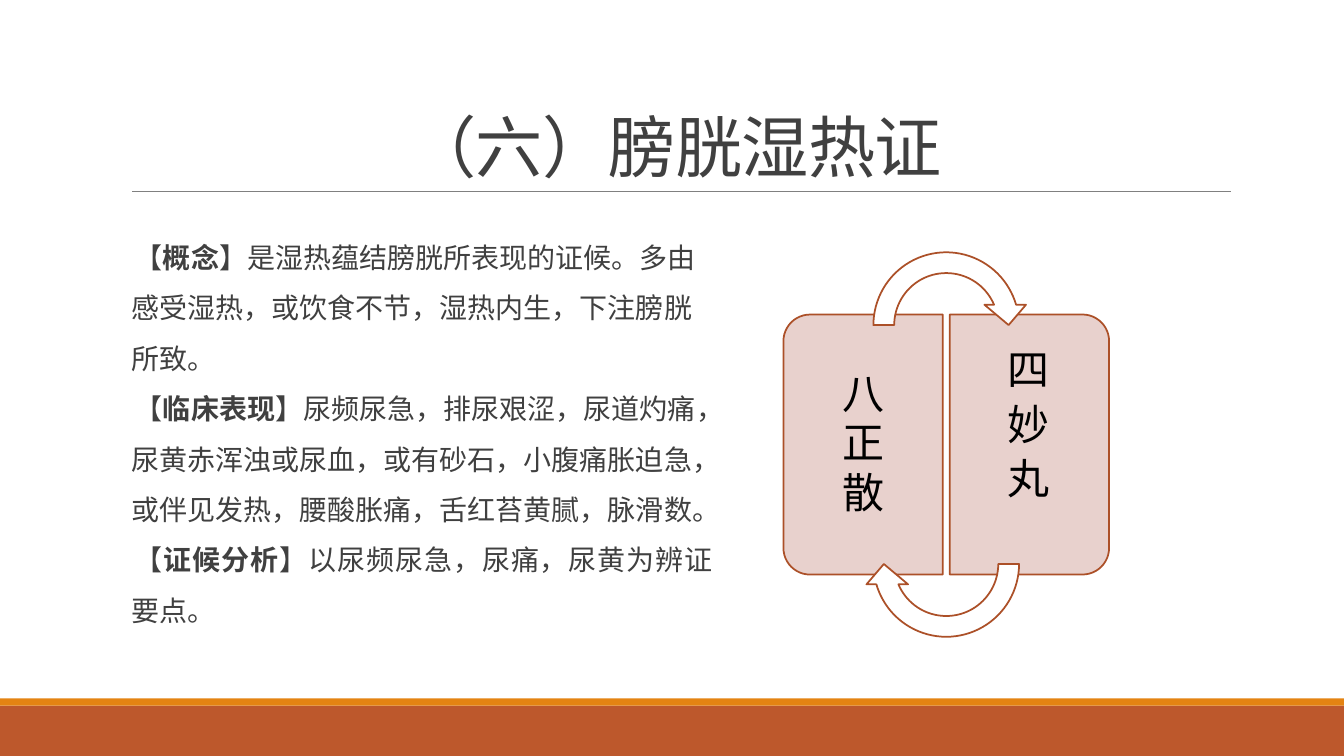
from lxml import etree
from pptx import Presentation
from pptx.dml.color import RGBColor
from pptx.enum.shapes import MSO_CONNECTOR, MSO_SHAPE
from pptx.enum.text import MSO_ANCHOR, PP_ALIGN
from pptx.oxml.ns import qn
from pptx.util import Inches, Pt

RECTANGLE = MSO_SHAPE.RECTANGLE
ROUNDED_TOP = MSO_SHAPE.ROUND_2_SAME_RECTANGLE
CIRCULAR_ARROW = MSO_SHAPE.CIRCULAR_ARROW
STRAIGHT = MSO_CONNECTOR.STRAIGHT
TOP, MIDDLE, BOTTOM = MSO_ANCHOR.TOP, MSO_ANCHOR.MIDDLE, MSO_ANCHOR.BOTTOM
LEFT, CENTER, JUSTIFY = PP_ALIGN.LEFT, PP_ALIGN.CENTER, PP_ALIGN.JUSTIFY

CJK_FONT = "Noto Sans CJK SC"
RUST, ORANGE, OUTLINE = "BD582C", "E48312", "AC5028"
INK, GREY, PINK, WHITE, BLACK = "404040", "808080", "E8D1CD", "FFFFFF", "000000"
ARROW_ADJUSTMENTS = (0.125, 11.423, 204.577, 108, 0.125)

SECTIONS = [
    ("概念", "是湿热蕴结膀胱所表现的证候。多由感受湿热，或饮食不节，湿热内生，下注膀胱所致。", LEFT),
    ("临床表现", "尿频尿急，排尿艰涩，尿道灼痛，尿黄赤浑浊或尿血，或有砂石，小腹痛胀迫急，"
     "或伴见发热，腰酸胀痛，舌红苔黄腻，脉滑数。", LEFT),
    ("证候分析", "以尿频尿急，尿痛，尿黄为辨证要点。", JUSTIFY),
]


def color(value):
    return RGBColor.from_string(value)


def apply(target, values):
    for name, value in values.items():
        setattr(target, name, value)


class SlideBuilder:
    """Draws styled elements on the current slide."""

    def __init__(self, slide):
        self.slide = slide

    def shape(self, kind, box, fill, line=None, rotation=0, adjustments=()):
        shape = self.slide.shapes.add_shape(kind, *map(Inches, box))
        shape.shadow.inherit = False
        shape.rotation = rotation
        shape.fill.solid()
        shape.fill.fore_color.rgb = color(fill)
        if line:
            shape.line.color.rgb = color(line)
            shape.line.width = Pt(1.25)
        else:
            shape.line.fill.background()
        for index, value in enumerate(adjustments):
            shape.adjustments[index] = value

    def rule(self, start, end, line, width):
        connector = self.slide.shapes.add_connector(STRAIGHT, *map(Inches, start + end))
        connector.line.color.rgb = color(line)
        connector.line.width = Pt(width)
        etree.SubElement(connector._element.spPr, qn("a:effectLst"))

    def text_frame(self, box, anchor, insets):
        frame = self.slide.shapes.add_textbox(*map(Inches, box)).text_frame
        sides = ("margin_left", "margin_top", "margin_right", "margin_bottom")
        apply(frame, {"word_wrap": True, "vertical_anchor": anchor})
        apply(frame, dict(zip(sides, map(Inches, insets))))
        return frame

    def paragraph(self, frame, index, runs, style, size, ink, latin=CJK_FONT, spacing=None):
        paragraph = frame.paragraphs[0] if index == 0 else frame.add_paragraph()
        apply(paragraph, style)
        for text, bold in runs:
            run = paragraph.add_run()
            run.text = text
            apply(run.font, {"size": Pt(size), "bold": bold, "name": latin})
            run.font.color.rgb = color(ink)
            properties = run.font._element
            etree.SubElement(properties, qn("a:ea"), typeface=CJK_FONT)
            if spacing:
                properties.set("spc", str(spacing))
        return paragraph

    def title(self, text):
        frame = self.text_frame((1.2, 0.31, 11, 1.59), BOTTOM, (0.1, 0.05, 0.1, 0.05))
        style = {"alignment": CENTER, "line_spacing": 0.85}
        self.paragraph(frame, 0, [(text, False)], style, 48, INK, spacing=-50)

    def body(self, sections):
        frame = self.text_frame((1.2, 2.02, 5.87, 4.4), MIDDLE, (0, 0.05, 0, 0.05))
        for index, (heading, text, alignment) in enumerate(sections):
            runs = [("【", False), (heading, True), ("】" + text, False)]
            style = {"alignment": alignment, "line_spacing": 1.5}
            paragraph = self.paragraph(frame, index, runs, style, 20, INK, "Calibri")
            properties = paragraph._p.get_or_add_pPr()
            properties.set("marL", str(Inches(0.1)))
            properties.set("indent", str(Inches(-0.1)))
            bullet_color = etree.SubElement(properties, qn("a:buClr"))
            etree.SubElement(bullet_color, qn("a:srgbClr"), val=ORANGE)
            etree.SubElement(properties, qn("a:buChar"), char=" ")

    def formula(self, name, panel_left, rotation, text_left, anchor, insets, line_spacing):
        self.shape(ROUNDED_TOP, (panel_left, 3.62, 2.58, 1.58), PINK, OUTLINE,
                   rotation, (0.167, 0))
        frame = self.text_frame((text_left, 3.2, 1.5, 2.43), anchor, insets)
        style = {"alignment": CENTER, "line_spacing": line_spacing, "space_after": Pt(3)}
        for index, character in enumerate(name):
            self.paragraph(frame, index, [(character, False)], style, 30, BLACK)


def main():
    presentation = Presentation()
    presentation.slide_width = Inches(13.33)
    presentation.slide_height = Inches(7.5)
    builder = SlideBuilder(presentation.slides.add_slide(presentation.slide_layouts[6]))
    builder.shape(RECTANGLE, (0, 7, 13.33, 0.5), RUST)
    builder.shape(RECTANGLE, (0, 6.93, 13.33, 0.07), ORANGE)
    builder.rule((1.31, 1.9), (12.21, 1.9), GREY, 0.5)
    builder.title("（六）膀胱湿热证")
    builder.body(SECTIONS)
    builder.formula("八正散", 7.27, 270, 7.85, MIDDLE, (0.12, 0.21, 0.19, 0.21), 0.9)
    builder.formula("四妙丸", 8.92, 90, 9.42, TOP, (0.19, 0.21, 0.12, 0.21), 1.0)
    for top, rotation in ((2.4, 0), (4.77, 180)):
        builder.shape(CIRCULAR_ARROW, (8.56, top, 1.65, 1.65), WHITE, OUTLINE,
                      rotation, ARROW_ADJUSTMENTS)
    presentation.save("out.pptx")


if __name__ == "__main__":
    main()
